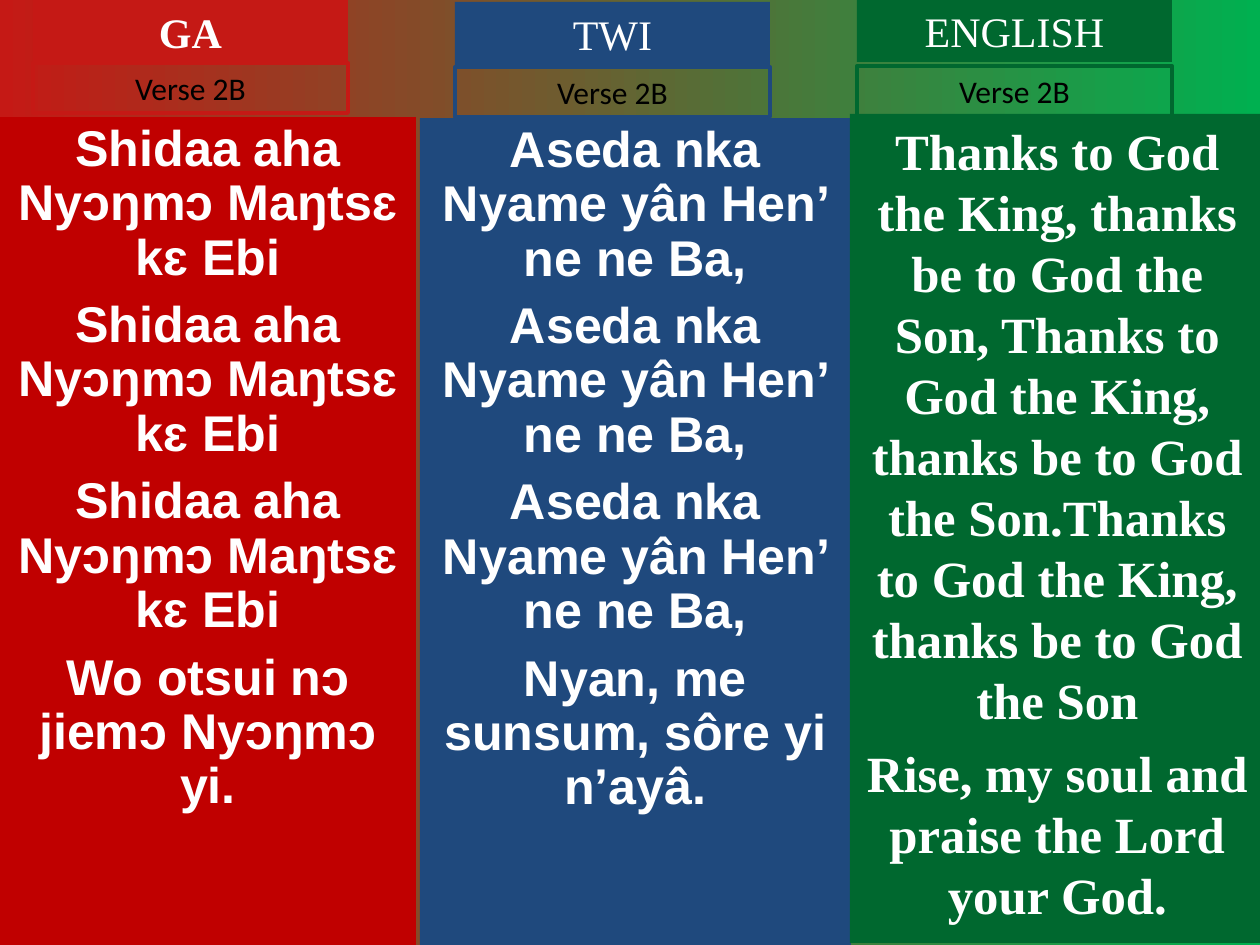
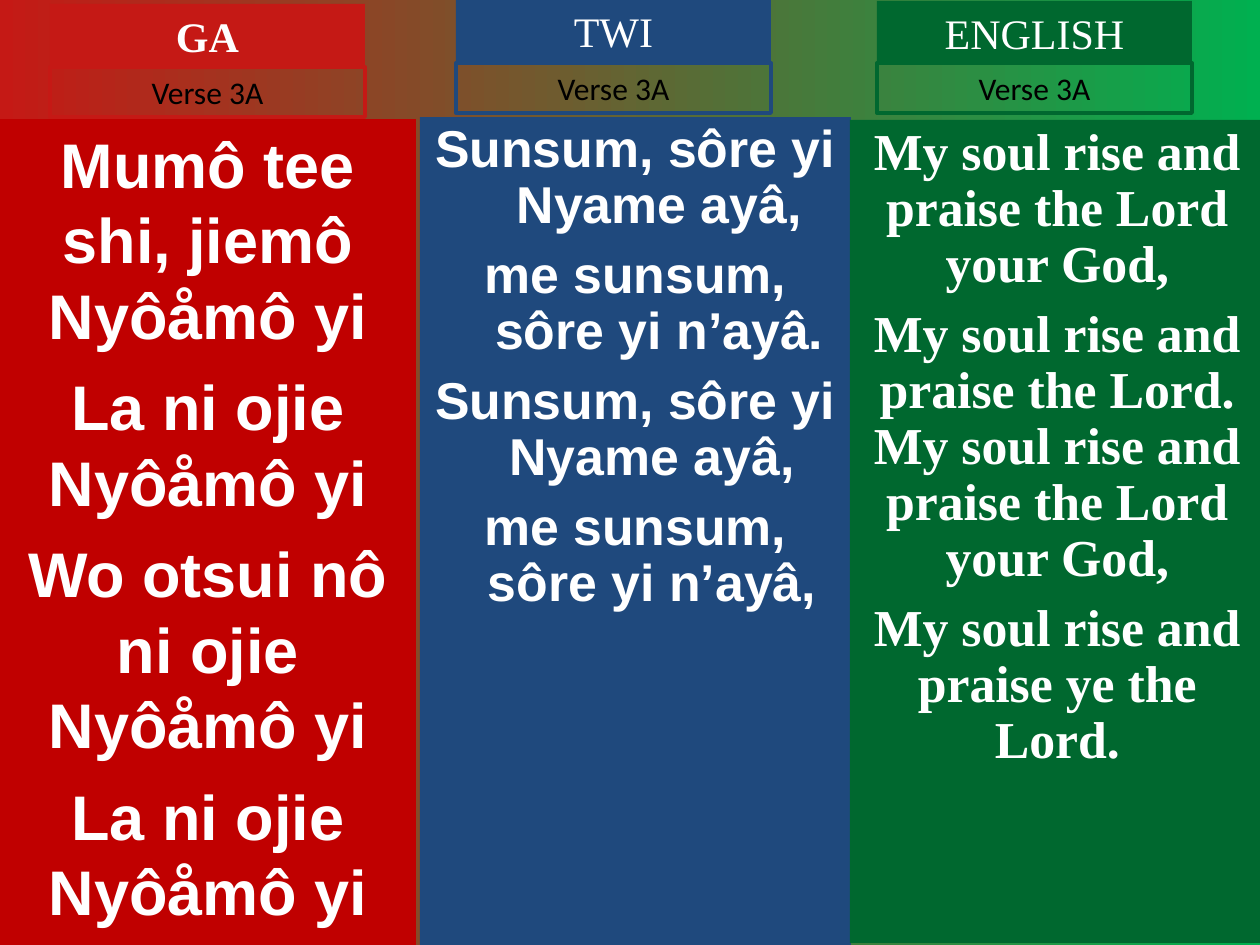
from dataclasses import dataclass

from pptx import Presentation
from pptx.dml.color import RGBColor
from pptx.enum import shapes, text
from pptx import util as u

PX = 914400 // 126
SLIDE_W, SLIDE_H = 1260, 945
HEADER_W, HEADER_H, VERSE_H = 315, 63, 50

GA_RED = RGBColor(0xC0, 0x00, 0x00)
BRIGHT_RED = RGBColor(0xC5, 0x19, 0x15)
BRIGHT_GREEN = RGBColor(0x00, 0xB0, 0x50)
TWI_BLUE = RGBColor(0x1F, 0x49, 0x7D)
ENGLISH_GREEN = RGBColor(0x00, 0x68, 0x2F)
WHITE = RGBColor(0xFF, 0xFF, 0xFF)
BLACK = RGBColor(0x00, 0x00, 0x00)


@dataclass
class Language:
    name: str
    left: int
    width: int
    bottom: int
    panel_color: RGBColor
    label_color: RGBColor
    font: str
    bold_label: bool = False


@dataclass
class Lyrics:
    panel_top: int
    label_left: int
    label_top: int
    verse_top: int
    size: float
    gap: float
    lines: list
    spacing: float = 0.9
    hanging: int = 0


LANGUAGES = [
    Language("GA", 0, 416, SLIDE_H, GA_RED, BRIGHT_RED, "Arial", True),
    Language("TWI", 420, 431, SLIDE_H, TWI_BLUE, TWI_BLUE, "Arial"),
    Language("ENGLISH", 850, 415, 943, ENGLISH_GREEN, ENGLISH_GREEN,
             "Times New Roman"),
]

VERSES = {
    "Verse 2B": [
        Lyrics(117, 33, 0, 63, 28.7, 7.7,
               ["Shidaa aha Nyɔŋmɔ Maŋtsɛ kɛ Ebi"] * 3
               + ["Wo otsui nɔ jiemɔ Nyɔŋmɔ yi."]),
        Lyrics(118, 455, 2, 67, 28.7, 7.7,
               ["Aseda nka Nyame yân Hen’ ne ne Ba,"] * 3
               + ["Nyan, me sunsum, sôre yi n’ayâ."]),
        Lyrics(114, 857, -1, 66, 29, 7.3,
               ["Thanks to God the King, thanks be to God the Son, "
                "Thanks to God the King, thanks be to God the Son."
                "Thanks to God the King, thanks be to God the Son",
                "Rise, my soul and praise the Lord your God."],
               spacing=1.0),
    ],
    "Verse 3A": [
        Lyrics(119, 50, 4, 67, 36, 9,
               ["Mumô tee shi, jiemô Nyôåmô yi",
                "La ni ojie Nyôåmô yi",
                "Wo otsui nô ni ojie Nyôåmô yi",
                "La ni ojie Nyôåmô yi"],
               spacing=1.0),
        Lyrics(117, 456, -1, 63, 29.6, 8,
               ["Sunsum, sôre yi Nyame ayâ,",
                "me sunsum, sôre yi n’ayâ.",
                "Sunsum, sôre yi Nyame ayâ, ",
                "me sunsum, sôre yi n’ayâ, "],
               hanging=48),
        Lyrics(120, 877, 1, 63, 29.6, 8,
               ["My soul rise and praise the Lord your God,",
                "My soul rise and praise the Lord. "
                "My soul rise and praise the Lord your God,",
                "My soul rise and praise ye the Lord."]),
    ],
}


def add_box(slide, box, lines, font, size, color, bold=False, fill=None, line=None):
    sp = slide.shapes.add_shape(shapes.MSO_SHAPE.RECTANGLE, *(v * PX for v in box))
    sp.shadow.inherit = False
    if fill is None:
        sp.fill.background()
    else:
        sp.fill.solid()
        sp.fill.fore_color.rgb = fill
    if line is None:
        sp.line.fill.background()
    else:
        sp.line.color.rgb = line
        sp.line.width = u.Pt(2.25)
    tf = sp.text_frame
    tf.word_wrap = True
    tf.vertical_anchor = text.MSO_ANCHOR.TOP
    tf.text = "\n".join(lines)
    for p in tf.paragraphs:
        p.alignment = text.PP_ALIGN.CENTER
        for r in p.runs:
            r.font.name = font
            r.font.size = u.Pt(size)
            r.font.bold = bold
            r.font.color.rgb = color
    return tf


def add_panel(slide, language, lyrics):
    box = (language.left, lyrics.panel_top, language.width,
           language.bottom - lyrics.panel_top)
    tf = add_box(slide, box, lyrics.lines, language.font, lyrics.size, WHITE,
                 bold=True, fill=language.panel_color)
    for i, p in enumerate(tf.paragraphs):
        p.line_spacing = lyrics.spacing
        p.space_before = u.Pt(lyrics.gap if i else 0)
        if lyrics.hanging:
            p_pr = p._p.get_or_add_pPr()
            p_pr.set("marL", str(lyrics.hanging * PX))
            p_pr.set("indent", str(-lyrics.hanging * PX))


def add_labels(slide, language, lyrics, verse):
    header = (lyrics.label_left, lyrics.label_top, HEADER_W, HEADER_H)
    marker = (lyrics.label_left, lyrics.verse_top, HEADER_W, VERSE_H)
    frames = [
        add_box(slide, header, [language.name], "Times New Roman", 24, WHITE,
                bold=language.bold_label, fill=language.label_color),
        add_box(slide, marker, [verse], "Calibri", 18, BLACK,
                line=language.label_color),
    ]
    for tf in frames:
        tf.auto_size = text.MSO_AUTO_SIZE.SHAPE_TO_FIT_TEXT


def add_verse_slide(prs, verse, columns):
    slide = prs.slides.add_slide(prs.slide_layouts[6])
    fill = slide.background.fill
    fill.gradient()
    fill.gradient_angle = 0
    for stop, color in zip(fill.gradient_stops, (BRIGHT_RED, BRIGHT_GREEN)):
        stop.color.rgb = color
    for language, lyrics in zip(LANGUAGES, columns):
        add_panel(slide, language, lyrics)
        add_labels(slide, language, lyrics, verse)


def main():
    prs = Presentation()
    prs.slide_width, prs.slide_height = SLIDE_W * PX, SLIDE_H * PX
    for verse, columns in VERSES.items():
        add_verse_slide(prs, verse, columns)
    prs.save("out.pptx")


if __name__ == "__main__":
    main()
